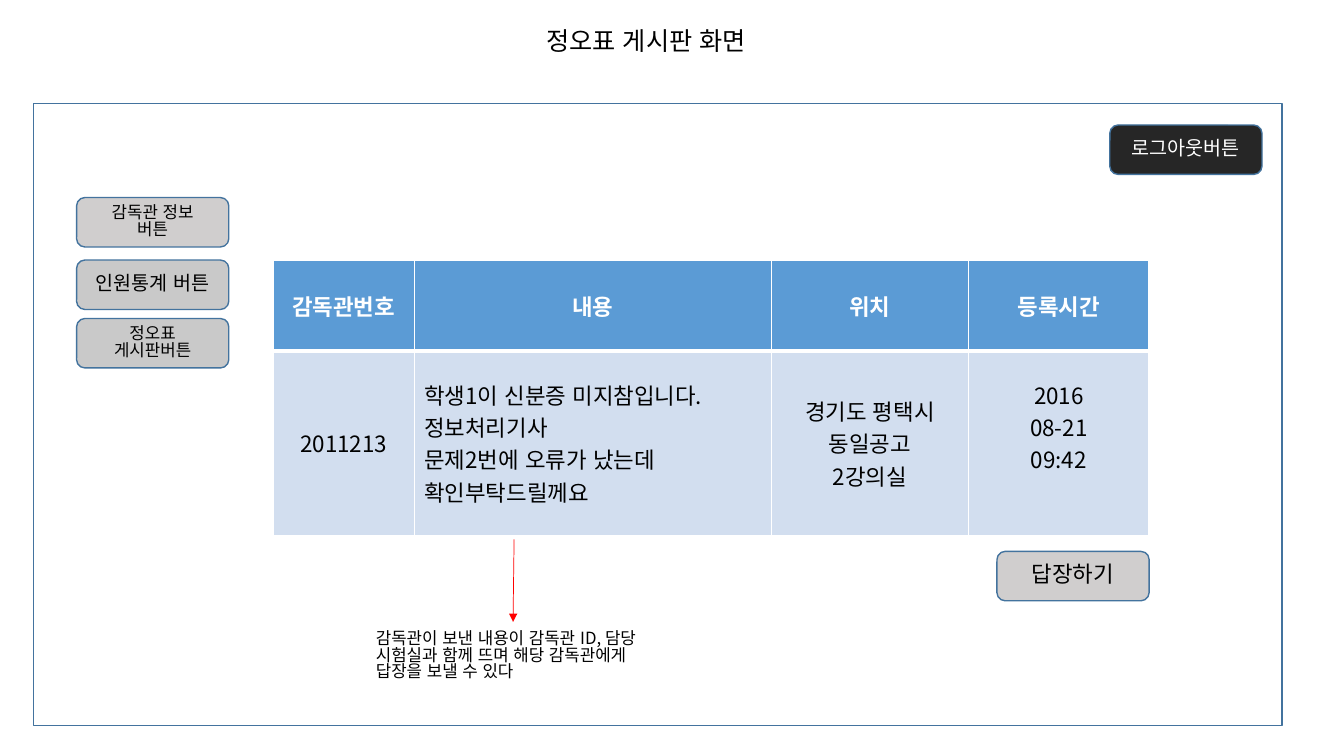
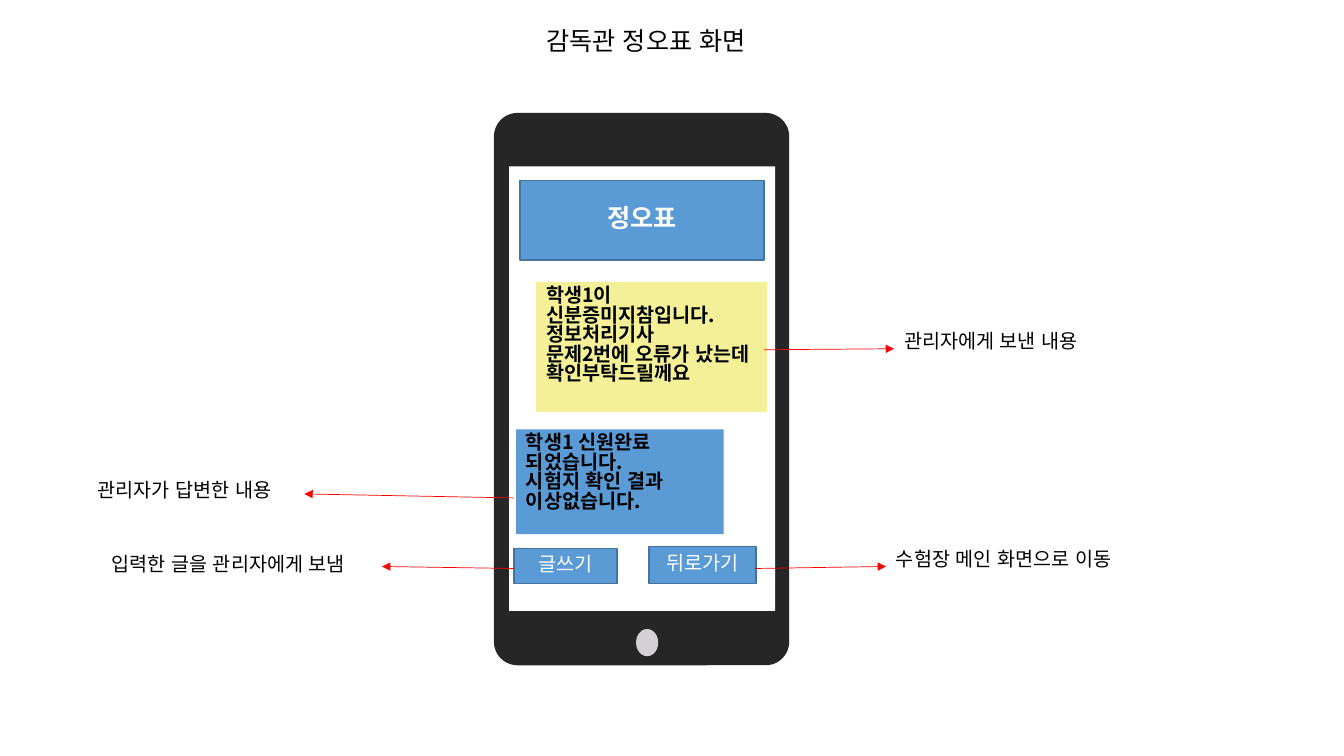
from dataclasses import dataclass

from lxml.etree import SubElement
from pptx import Presentation
from pptx.dml.color import RGBColor
from pptx.enum.lang import MSO_LANGUAGE_ID
from pptx.enum.shapes import MSO_CONNECTOR, MSO_SHAPE
from pptx.enum.text import MSO_ANCHOR, MSO_AUTO_SIZE, PP_ALIGN
from pptx.oxml.ns import qn
from pptx.util import Inches, Pt

CELL = 0.1  # inches: side of one square grid cell, for columns and rows alike


@dataclass(frozen=True)
class Theme:
    """Colours, type sizes and line widths shared by the slides."""
    font: str = "Noto Sans CJK KR"
    white: str = "FFFFFF"
    ink: str = "000000"
    dark: str = "262626"
    blue: str = "5B9BD5"
    outline: str = "43739E"
    pale_blue: str = "D2DEEF"
    gray: str = "C9C9C9"
    warm_gray: str = "D0CECE"
    home_key: str = "D3D1D5"
    yellow: str = "F4F098"
    red: str = "FF0000"
    title: int = 18
    large: int = 16
    body: int = 14
    small: int = 12
    arrow: float = 0.5
    border: int = 1
    tight: float = 0.83


THEME = Theme()


def grid(*cells):
    """Turn columns or rows of the grid into lengths."""
    return [Inches(cell * CELL) for cell in cells]


def write(frame, text, size=THEME.body, color=THEME.ink, bold=False,
          align=PP_ALIGN.LEFT, anchor=MSO_ANCHOR.TOP, spacing=THEME.tight):
    """Fill a text frame, one paragraph for each line of text."""
    frame.word_wrap = True
    frame.vertical_anchor = anchor
    for index, line in enumerate(text.split("\n")):
        para = frame.add_paragraph() if index else frame.paragraphs[0]
        para.alignment = align
        para.line_spacing = spacing
        span = para.add_run()
        span.text = line
        font = span.font
        font.name, font.size, font.bold = THEME.font, Pt(size), bold
        font.color.rgb = RGBColor.from_string(color)
        font.language_id = MSO_LANGUAGE_ID.KOREAN
        SubElement(span.font._element, qn("a:ea"), typeface=THEME.font)


def edge_cell(cell, bottom):
    """Give a table cell white borders, with its own bottom width."""
    properties = cell._tc.get_or_add_tcPr()
    widths = {"lnL": THEME.border, "lnR": THEME.border,
              "lnT": THEME.border, "lnB": bottom}
    for side, width in widths.items():
        line = SubElement(properties, qn("a:" + side), w=str(Pt(width)))
        fill = SubElement(line, qn("a:solidFill"))
        SubElement(fill, qn("a:srgbClr"), val=THEME.white)


class Board:
    """Holds the deck, its theme and the current page."""

    def __init__(self, theme):
        """Start a wide deck."""
        self.theme = theme
        self.deck = Presentation()
        self.deck.slide_width, self.deck.slide_height = grid(133.33, 75)
        self.page = None

    def add_page(self, title):
        """Start a page with its centred title."""
        self.page = self.deck.slides.add_slide(self.deck.slide_layouts[5])
        box = self.page.shapes.title
        box.left, box.top, box.width, box.height = grid(33.5, 2.5, 61.2, 4)
        box.text_frame.auto_size = MSO_AUTO_SIZE.NONE
        write(box.text_frame, title, size=self.theme.title,
              align=PP_ALIGN.CENTER)

    def block(self, at, fill, line=None, kind=MSO_SHAPE.RECTANGLE,
              text=None, width=1, **style):
        """Draw a filled shape, with text if given."""
        box = self.page.shapes.add_shape(kind, *grid(*at))
        box.shadow.inherit = False
        box.fill.solid()
        box.fill.fore_color.rgb = RGBColor.from_string(fill)
        if line:
            box.line.color.rgb = RGBColor.from_string(line)
            box.line.width = Pt(width)
        else:
            box.line.fill.background()
        if text:
            write(box.text_frame, text, **style)
        return box

    def button(self, at, text, fill, kind=MSO_SHAPE.ROUNDED_RECTANGLE,
               **style):
        """Draw an outlined button with centred text."""
        self.block(at, fill, self.theme.outline, kind, text,
                   align=PP_ALIGN.CENTER, anchor=MSO_ANCHOR.MIDDLE, **style)

    def label(self, at, text, **style):
        """Place free text."""
        box = self.page.shapes.add_textbox(*grid(*at))
        write(box.text_frame, text, **style)

    def arrow(self, start, end):
        """Draw a thin red arrow."""
        line = self.page.shapes.add_connector(
            MSO_CONNECTOR.STRAIGHT, *grid(*start, *end))
        line.line.color.rgb = RGBColor.from_string(self.theme.red)
        line.line.width = Pt(self.theme.arrow)
        properties = line.element.spPr
        SubElement(properties.find(qn("a:ln")), qn("a:tailEnd"),
                   type="triangle")
        SubElement(properties, qn("a:effectLst"))

    def table(self, at, widths, heights, rows):
        """Draw a table with a header row and return it."""
        theme = self.theme
        table = self.page.shapes.add_table(
            len(rows), len(widths), *grid(*at)).table
        for column, width in zip(table.columns, grid(*widths)):
            column.width = width
        for row, height in zip(table.rows, grid(*heights)):
            row.height = height
        for r, texts in enumerate(rows):
            header = r == 0
            for c, text in enumerate(texts):
                cell = table.cell(r, c)
                edge_cell(cell, 3 if header else theme.border)
                cell.fill.solid()
                cell.fill.fore_color.rgb = RGBColor.from_string(
                    theme.blue if header else theme.pale_blue)
                prose = c == 1 and not header
                write(cell.text_frame, text, size=theme.large, bold=header,
                      color=theme.white if header else theme.ink, spacing=1,
                      align=PP_ALIGN.LEFT if prose else PP_ALIGN.CENTER)
                cell.vertical_anchor = MSO_ANCHOR.MIDDLE
        return table


def build_admin_page(board):
    """Build the administrator's errata board."""
    theme = board.theme
    board.add_page("정오표 게시판 화면")
    board.block((3.3, 10.3, 123.9, 61.7), theme.white, theme.outline)
    size = (15.1, 4.9)
    buttons = [
        (7.6, 25.8, "인원통계 버튼", theme.gray, theme.body, theme.ink),
        (7.6, 19.6, "감독관 정보\n버튼", theme.warm_gray, theme.small,
         theme.ink),
        (7.6, 31.6, "정오표 게시판버튼", theme.gray, theme.small, theme.ink),
        (110.1, 12.4, "로그아웃버튼", theme.dark, theme.body, theme.white),
        (98.9, 54.7, "답장하기", theme.warm_gray, theme.large, theme.ink),
    ]
    for left, top, text, fill, points, color in buttons:
        board.button((left, top, *size), text, fill, size=points, color=color)
    board.arrow((51, 53.5), (50.9, 61.7))
    board.label((36.3, 62.1, 27.8, 7.1),
                "감독관이 보낸 내용이 감독관 ID, 담당 시험실과 함께 뜨며 해당 "
                "감독관에게 답장을 보낼 수 있다", size=theme.small)
    table = board.table(
        (27.1, 25.8, 86.9, 27.3), (14, 35.4, 19.6, 17.9), (9, 18.3),
        [("감독관번호", "내용", "위치", "등록시간"),
         ("2011213",
          "학생1이 신분증 미지참입니다.\n정보처리기사\n"
          "문제2번에 오류가 났는데 확인부탁드릴께요",
          "경기도 평택시\n동일공고\n2강의실", "2016\n08-21\n09:42")])
    table.cell(1, 3).margin_bottom = Inches(0.37)


def build_phone_page(board):
    """Build the supervisor's phone screen with its callouts."""
    theme = board.theme
    board.add_page("감독관 정오표 화면")
    phone = board.block((49, 11.2, 29.3, 54.8), theme.dark,
                        kind=MSO_SHAPE.ROUNDED_RECTANGLE)
    phone.adjustments[0] = 0.08
    board.block((50.5, 16.5, 26.4, 44.1), theme.white)
    board.block((63.1, 62.4, 2.2, 2.7), theme.home_key, kind=MSO_SHAPE.OVAL)
    keys = [
        ((51.6, 17.9, 24.2, 7.9), "정오표", theme.title, True),
        ((64.4, 54.2, 10.6, 3.7), "뒤로가기", theme.body, False),
        ((51, 54.4, 10.2, 3.5), "글쓰기", theme.body, False),
    ]
    for at, text, points, bold in keys:
        board.button(at, text, theme.blue, MSO_SHAPE.RECTANGLE, size=points,
                     bold=bold, color=theme.white)
    board.block((53.2, 28, 22.8, 12.8), theme.yellow, theme.yellow,
                text="학생1이 신분증미지참입니다.\n정보처리기사\n"
                     "문제2번에 오류가 났는데 확인부탁드릴께요",
                width=0.75, bold=True)
    board.block((51.2, 42.6, 20.6, 10.4), theme.blue,
                text="학생1 신원완료 되었습니다.\n"
                     "시험지 확인 결과 이상없습니다.", bold=True)
    callouts = [
        ((74.9, 56.4), (87.9, 56.2), (87.9, 54.2, 28.8),
         "수험장 메인 화면으로 이동"),
        ((51, 56.4), (37.9, 56.2), (10.1, 54.7, 27.8),
         "입력한 글을 관리자에게 보냄"),
        ((75.8, 34.7), (88.7, 34.6), (88.7, 32.5, 28.8),
         "관리자에게 보낸 내용"),
        ((51, 49.4), (30.2, 49), (8.7, 47.3, 21.5),
         "관리자가 답변한 내용"),
    ]
    for start, end, place, text in callouts:
        board.arrow(start, end)
        board.label((*place, 3.4), text)


board = Board(THEME)
build_admin_page(board)
build_phone_page(board)
board.deck.save("out.pptx")
